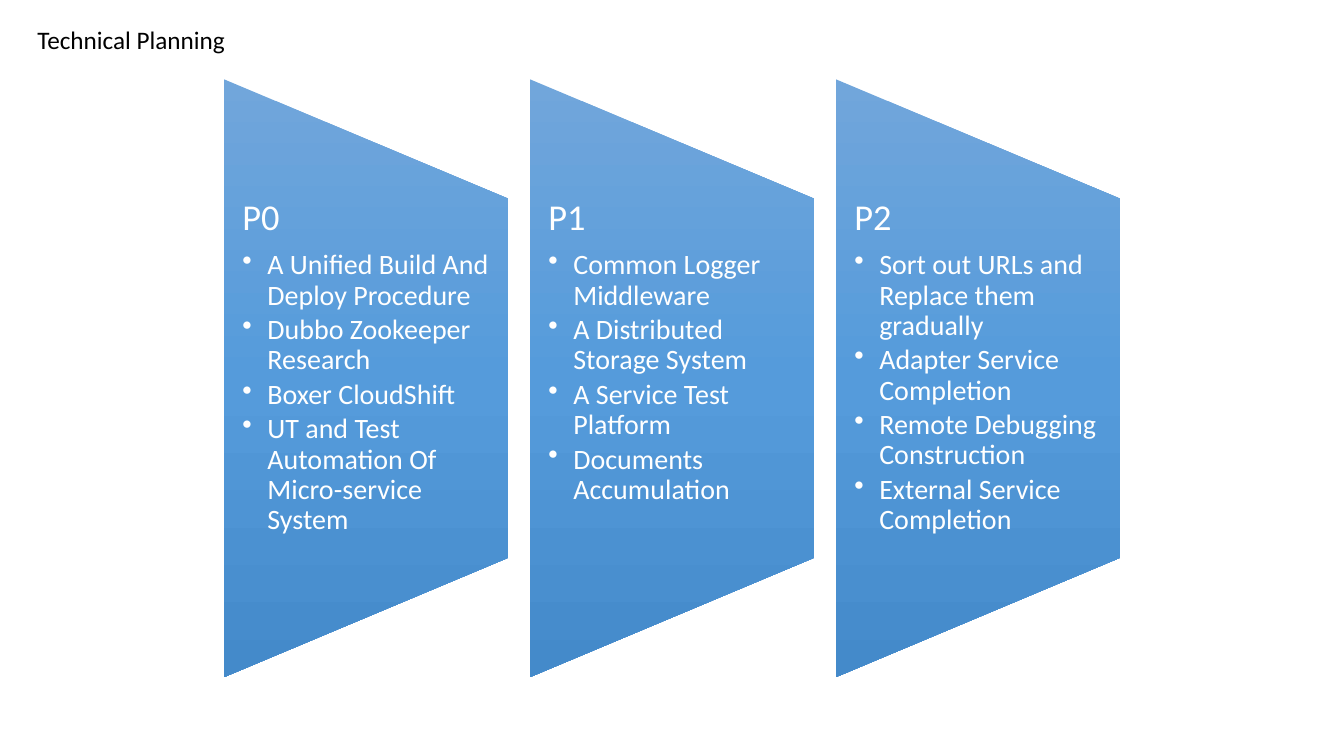
from pptx import Presentation
from pptx.dml.color import RGBColor
from pptx.enum.shapes import MSO_SHAPE
from pptx.enum.text import MSO_ANCHOR, MSO_AUTO_SIZE
from pptx.oxml import parse_xml
from pptx.oxml.ns import nsdecls, qn
from pptx.util import Cm, Pt

HUES = {"ink": "000000", "text": "FFFFFF", "top": "71A6DB", "mid": "559BDB", "low": "448ACA"}
FONT = "Calibri"
PLANS = [
    ("P0", ["A Unified Build And Deploy Procedure", "Dubbo Zookeeper Research",
            "Boxer CloudShift", "UT and Test Automation Of Micro-service System"]),
    ("P1", ["Common Logger Middleware", "A Distributed Storage System",
            "A Service Test Platform", "Documents Accumulation"]),
    ("P2", ["Sort out URLs and Replace them gradually", "Adapter Service Completion",
            "Remote Debugging Construction", "External Service Completion"]),
]


def add_run(para, text, size, hue):
    """Add one run of text to a paragraph."""
    run = para.add_run()
    run.text = text
    run.font.name = FONT
    run.font.size = Pt(size)
    run.font.color.rgb = RGBColor.from_string(HUES[hue])


def add_title(slide, x, y, w, h):
    """Place the slide heading in its box."""
    frame = slide.shapes.add_textbox(Cm(x), Cm(y), Cm(w), Cm(h)).text_frame
    frame.word_wrap = True
    frame.auto_size = MSO_AUTO_SIZE.SHAPE_TO_FIT_TEXT
    add_run(frame.paragraphs[0], "Technical Planning", 18, "ink")


def shade(shape):
    """Fill a shape from light to dark down the page, whatever its turn."""
    shape.fill.gradient()
    stops = "".join(
        f'<a:gs pos="{pos}"><a:srgbClr val="{HUES[hue]}"/></a:gs>'
        for pos, hue in ((0, "top"), (50000, "mid"), (100000, "low")))
    grad = parse_xml(
        f'<a:gradFill {nsdecls("a")} rotWithShape="0"><a:gsLst>{stops}</a:gsLst>'
        '<a:lin ang="5400000" scaled="0"/></a:gradFill>')
    props = shape._element.spPr
    props.replace(props.find(qn("a:gradFill")), grad)


def add_point(frame, text):
    """Add one bulleted line to a text frame."""
    para = frame.add_paragraph()
    para.level = 1
    para.line_spacing = 0.9
    para.space_after = Pt(3)
    props = para._p.get_or_add_pPr()
    props.set("marL", str(Cm(0.63)))
    props.set("indent", str(-Cm(0.63)))
    props.append(parse_xml(f'<a:buChar {nsdecls("a")} char="•"/>'))
    add_run(para, text, 20, "text")


def add_panel(slide, x, y, w, h, head, points):
    """Place a tapered panel, with its heading and points, in a box."""
    shape = slide.shapes.add_shape(
        MSO_SHAPE.FLOWCHART_MANUAL_OPERATION,
        Cm(x + (w - h) / 2), Cm(y + (h - w) / 2), Cm(h), Cm(w))
    shape.rotation = 270
    shape.shadow.inherit = False
    shape.line.fill.background()
    shade(shape)

    frame = slide.shapes.add_textbox(Cm(x), Cm(y + h / 5), Cm(w), Cm(h * 3 / 5)).text_frame
    frame.word_wrap = True
    frame.vertical_anchor = MSO_ANCHOR.TOP
    frame.margin_left = frame.margin_right = Cm(0.46)
    frame.margin_top = frame.margin_bottom = 0
    para = frame.paragraphs[0]
    para.line_spacing = 0.9
    para.space_after = Pt(9)
    add_run(para, head, 26, "text")
    for text in points:
        add_point(frame, text)


def main():
    """Build the planning slide and save it."""
    deck = Presentation()
    deck.slide_width, deck.slide_height = Cm(33.87), Cm(19.05)
    slide = deck.slides.add_slide(deck.slide_layouts[6])
    add_title(slide, 0.69, 0.48, 6.99, 1.03)
    for i, (head, points) in enumerate(PLANS):
        add_panel(slide, 5.65 + i * 7.71, 2, 7.17, 15.06, head, points)
    deck.save("out.pptx")


if __name__ == "__main__":
    main()
